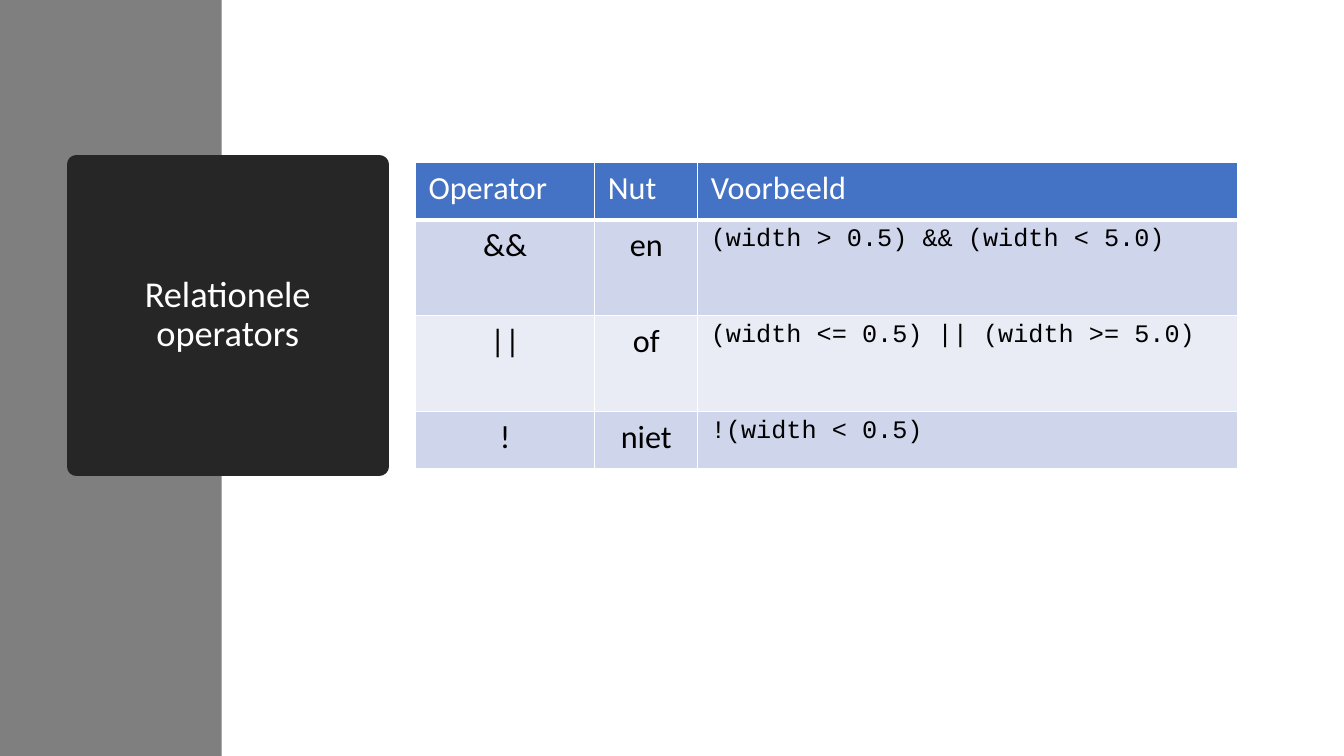
from lxml import etree
from pptx import Presentation
from pptx.dml.color import RGBColor
from pptx.enum.shapes import MSO_SHAPE
from pptx.enum.text import MSO_ANCHOR, PP_ALIGN, MSO_AUTO_SIZE
from pptx.oxml.ns import qn
from pptx.util import Inches, Pt

# Content
TITLE = "Relationele operators"
ROWS = [
    ("Operator", "Nut", "Voorbeeld"),
    ("&&", "en", "(width > 0.5) && (width < 5.0)"),
    ("||", "of", "(width <= 0.5) || (width >= 5.0)"),
    ("!", "niet", "!(width < 0.5)"),
]
COLUMN_WIDTHS = (1.78, 1.02, 5.36)
ROW_HEIGHTS = (0.57, 0.95, 0.95, 0.57)
COLORS = {
    "band": "7F7F7F", "title": "262626", "header": "4472C4",
    "odd": "CFD5EA", "even": "E9EBF5", "white": "FFFFFF", "black": "000000",
}
EXAMPLE_COLUMN = 2


def color(name):
    return RGBColor.from_string(COLORS[name])


def add_text(para, text, font, size, ink):
    span = para.add_run()
    span.text = text
    span.font.name = font
    span.font.size = Pt(size)
    span.font.bold = False
    span.font.color.rgb = color(ink)


def add_border(cell, side, width):
    properties = cell._tc.get_or_add_tcPr()
    line = etree.SubElement(properties, qn(f"a:ln{side}"), w=str(Pt(width)))
    fill = etree.SubElement(line, qn("a:solidFill"))
    etree.SubElement(fill, qn("a:srgbClr"), val=COLORS["white"])


def format_cell(cell, row, column, text):
    is_header = row == 0
    for side in "LRTB":
        add_border(cell, side, 3 if is_header and side == "B" else 1)
    cell.fill.solid()
    cell.fill.fore_color.rgb = color(
        "header" if is_header else "odd" if row % 2 else "even")
    cell.margin_left = cell.margin_right = Inches(0.13)
    cell.margin_top = cell.margin_bottom = Inches(0.06)

    is_code = column == EXAMPLE_COLUMN and not is_header
    para = cell.text_frame.paragraphs[0]
    centered = not is_header and column != EXAMPLE_COLUMN
    para.alignment = PP_ALIGN.CENTER if centered else PP_ALIGN.LEFT
    add_text(para, text, "Courier New" if is_code else "Calibri",
             18 if is_code else 23, "white" if is_header else "black")


def main():
    deck = Presentation()
    deck.slide_width, deck.slide_height = Inches(13.33), Inches(7.5)
    page = deck.slides.add_slide(deck.slide_layouts[5])

    # Title block with a thick border in its own colour
    title = page.shapes.title
    title.left, title.top = Inches(0.76), Inches(1.63)
    title.width = title.height = Inches(3)
    title.fill.solid()
    title.fill.fore_color.rgb = color("title")
    title.line.color.rgb = color("title")
    title.line.width = Pt(13.75)
    frame = title.text_frame
    frame.word_wrap = True
    frame.auto_size = MSO_AUTO_SIZE.NONE
    frame.vertical_anchor = MSO_ANCHOR.MIDDLE
    para = frame.paragraphs[0]
    para.alignment = PP_ALIGN.CENTER
    para.line_spacing = 0.9
    add_text(para, TITLE, "Calibri", 26, "white")

    # Grey band behind the title
    band = page.shapes.add_shape(
        MSO_SHAPE.RECTANGLE, 0, 0, Inches(2.2), deck.slide_height)
    band.shadow.inherit = False
    band.fill.solid()
    band.fill.fore_color.rgb = color("band")
    band.line.fill.background()
    title.element.addprevious(band.element)

    # Operator table
    table = page.shapes.add_table(
        len(ROWS), len(COLUMN_WIDTHS), Inches(4.12), Inches(1.61),
        Inches(sum(COLUMN_WIDTHS)), Inches(sum(ROW_HEIGHTS))).table
    for column, width in zip(table.columns, COLUMN_WIDTHS):
        column.width = Inches(width)
    for row, height in zip(table.rows, ROW_HEIGHTS):
        row.height = Inches(height)
    for row, texts in enumerate(ROWS):
        for column, text in enumerate(texts):
            format_cell(table.cell(row, column), row, column, text)

    deck.save("out.pptx")


if __name__ == "__main__":
    main()
